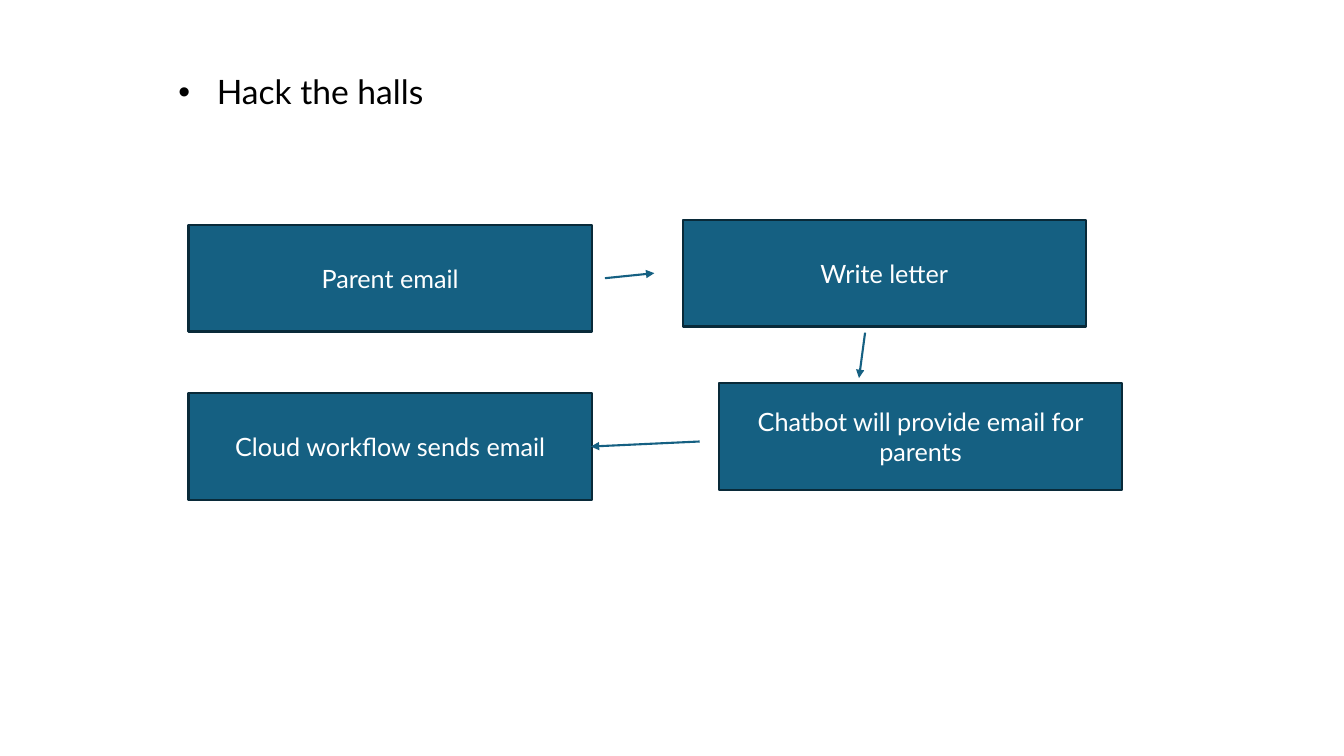
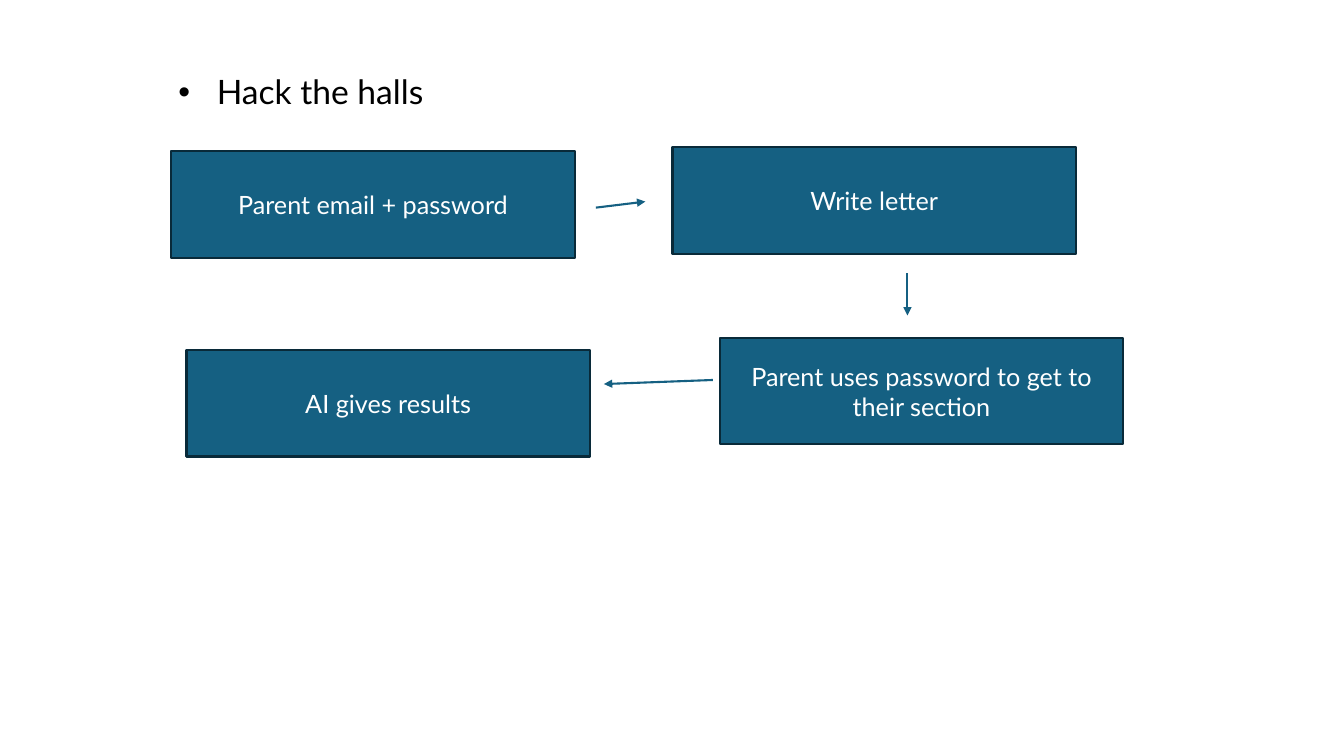
"""Build two slides that show the letter flow as linked boxes."""
import lxml.etree
import pptx
import pptx.dml.color
import pptx.enum.shapes
import pptx.enum.text
import pptx.oxml.ns
import pptx.util

Inches = pptx.util.Inches
Pt = pptx.util.Pt

FLOWS = [
    (
        [
            ("Parent email", 1.87, 2.23),
            ("Chatbot will provide email for parents", 7.13, 3.8),
            ("Write letter", 6.77, 2.18),
            ("Cloud workflow sends email", 1.87, 3.9),
        ],
        [
            (6, 2.76, 6.49, 2.71),
            (8.58, 3.3, 8.52, 3.75),
            (6.94, 4.38, 5.86, 4.43),
        ],
    ),
    (
        [
            ("Parent email + password", 1.7, 1.5),
            ("Parent uses password to get to their section", 7.14, 3.35),
            ("Write letter", 6.67, 1.46),
            ("AI gives results", 1.85, 3.47),
        ],
        [
            (5.91, 2.06, 6.4, 2),
            (9, 2.71, 9, 3.13),
            (7.07, 3.77, 5.99, 3.81),
        ],
    ),
]


def color(text):
    return pptx.dml.color.RGBColor.from_string(text)


def child(node, tag, **attrs):
    return lxml.etree.SubElement(node, pptx.oxml.ns.qn(tag), attrs)


class Deck:
    font = "Lato"
    blue = "156082"
    edge = "092A39"
    black = "000000"
    white = "FFFFFF"
    width, height = 4, 1.06
    stroke = 1.5

    def __init__(self):
        self.show = pptx.Presentation()
        self.show.slide_width = Inches(13.33)
        self.show.slide_height = Inches(7.5)
        self.slide = None

    def page(self):
        self.slide = self.show.slides.add_slide(self.show.slide_layouts[0])
        fill = self.slide.background.fill
        fill.solid()
        fill.fore_color.rgb = color(self.white)
        title = self.slide.shapes.title.element
        title.getparent().remove(title)

    def run(self, para, text, size, tint):
        run = para.add_run()
        run.text = text
        run.font.name = self.font
        run.font.size = Pt(size)
        run.font.color.rgb = color(tint)

    def stroked(self, line, tint):
        line.color.rgb = color(tint)
        line.width = Pt(self.stroke)

    def topic(self, text):
        body = self.slide.placeholders[1]
        body.left, body.top = Inches(1.67), Inches(0.7)
        body.width, body.height = Inches(10), Inches(5.97)
        frame = body.text_frame
        frame.vertical_anchor = pptx.enum.text.MSO_ANCHOR.TOP
        para = frame.paragraphs[0]
        props = para._p.get_or_add_pPr()
        props.set("marL", str(Inches(0.38)))
        props.set("indent", str(-Inches(0.38)))
        child(props, "a:buFont", typeface="Arial")
        child(props, "a:buChar", char="•")
        para.alignment = pptx.enum.text.PP_ALIGN.LEFT
        para.line_spacing = 0.9
        para.space_before = Pt(0)
        self.run(para, text, 24, self.black)

    def box(self, text, left, top):
        box = self.slide.shapes.add_shape(
            pptx.enum.shapes.MSO_SHAPE.RECTANGLE,
            Inches(left), Inches(top), Inches(self.width), Inches(self.height))
        box.shadow.inherit = False
        box.fill.solid()
        box.fill.fore_color.rgb = color(self.blue)
        self.stroked(box.line, self.edge)
        frame = box.text_frame
        frame.word_wrap = True
        frame.vertical_anchor = pptx.enum.text.MSO_ANCHOR.MIDDLE
        para = frame.paragraphs[0]
        para.alignment = pptx.enum.text.PP_ALIGN.CENTER
        self.run(para, text, 18, self.white)

    def arrow(self, *ends):
        arrow = self.slide.shapes.add_connector(
            pptx.enum.shapes.MSO_CONNECTOR.STRAIGHT, *map(Inches, ends))
        self.stroked(arrow.line, self.blue)
        child(arrow.line._get_or_add_ln(), "a:tailEnd", type="triangle")
        child(arrow.element.spPr, "a:effectLst")


def main():
    deck = Deck()
    for boxes, arrows in FLOWS:
        deck.page()
        deck.topic("Hack the halls")
        for item in boxes:
            deck.box(*item)
        for ends in arrows:
            deck.arrow(*ends)
    deck.show.save("out.pptx")


if __name__ == "__main__":
    main()
